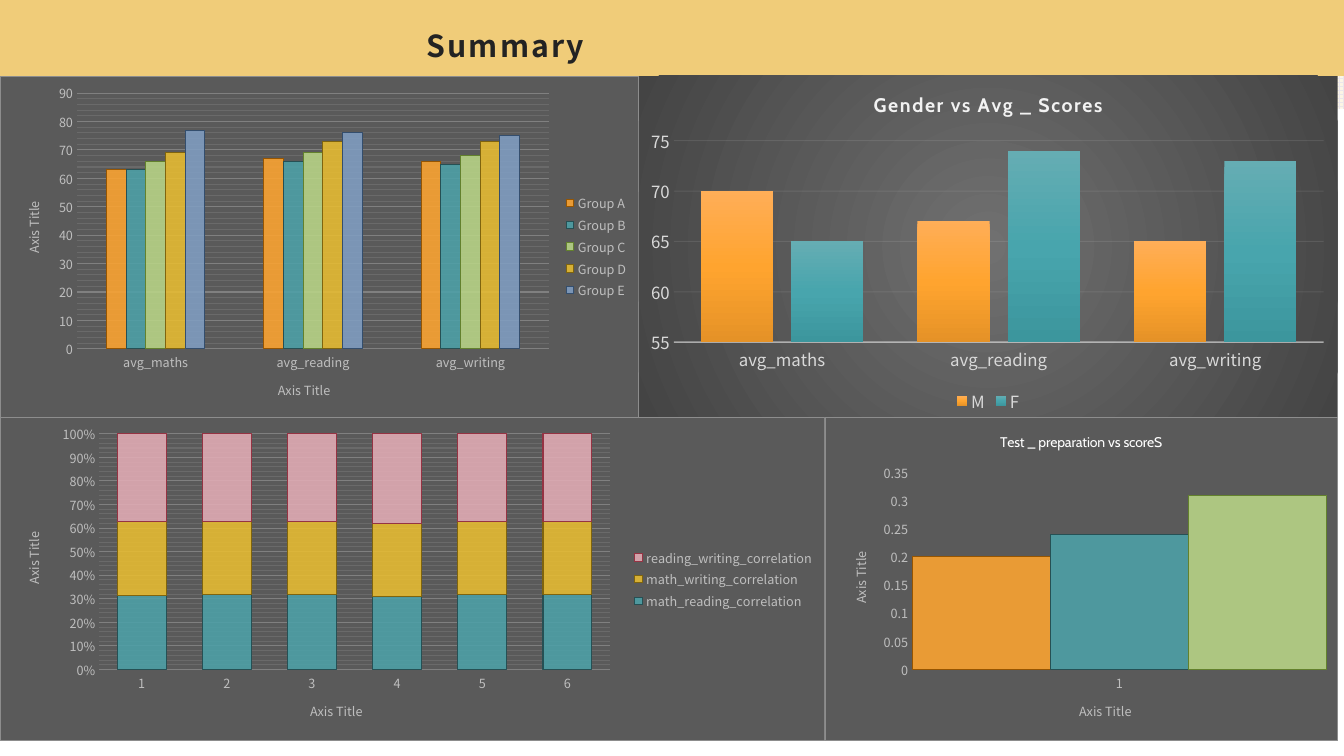
from pptx import Presentation
from pptx.chart.data import CategoryChartData
from pptx.dml.color import RGBColor
from pptx.enum import chart as ch, dml, shapes, text
from pptx.oxml import parse_xml
from pptx.oxml.ns import nsdecls, qn
from pptx.util import Cm, Pt

# Colours, with each solid bar colour paired with its outline
GOLD, INK, WHITE = RGBColor(240, 204, 121), RGBColor(35, 35, 35), RGBColor(255, 255, 255)
GRID_FRONT, GRID_BACK = RGBColor(0xEB, 0xE6, 0xEB), RGBColor(0xFC, 0xF5, 0xE5)
PANEL, BORDER = RGBColor(0x5A, 0x5A, 0x5A), RGBColor(0x8D, 0x8D, 0x8D)
GREY, PALE = RGBColor(0xBF, 0xBF, 0xBF), RGBColor(0xD9, 0xD9, 0xD9)
MAJOR, MINOR = RGBColor(0x80, 0x80, 0x80), RGBColor(0x6A, 0x6A, 0x6A)
LIGHT = RGBColor(0xF2, 0xF2, 0xF2)
ORANGE = (RGBColor(0xFD, 0xA4, 0x31), RGBColor(0x96, 0x55, 0x01))
TEAL = (RGBColor(0x4D, 0xA1, 0xA8), RGBColor(0x26, 0x50, 0x54))
GREEN = (RGBColor(0xB9, 0xD5, 0x87), RGBColor(0x63, 0x81, 0x2D))
YELLOW = (RGBColor(0xE8, 0xBD, 0x32), RGBColor(0x7F, 0x64, 0x0E))
BLUE = (RGBColor(0x80, 0x9E, 0xC2), RGBColor(0x34, 0x4E, 0x6D))
PINK = (RGBColor(0xE3, 0xAD, 0xB6), RGBColor(0x95, 0x33, 0x43))
ORANGE_FADE = [(0, RGBColor(0xFF, 0xAE, 0x57)), (50, RGBColor(0xFF, 0xA4, 0x2F)),
               (100, RGBColor(0xE5, 0x92, 0x27))]
TEAL_FADE = [(0, RGBColor(0x65, 0xAD, 0xB3)), (50, RGBColor(0x48, 0xA5, 0xAD)),
             (100, RGBColor(0x3C, 0x96, 0x9D))]
PANEL_FADE = [(0, RGBColor(0x70, 0x70, 0x70)), (100, RGBColor(0x44, 0x44, 0x44))]
BODY_FONT, TITLE_FONT = "Noto Sans CJK JP", "Cabin"

# Content: "plot" is the plot area as fractions of its chart
HEADING = "Summary"
AXIS_TITLE = "Axis Title"
SUBJECTS = ["avg_maths", "avg_reading", "avg_writing"]
CLUSTERED, STACKED = ch.XL_CHART_TYPE.COLUMN_CLUSTERED, ch.XL_CHART_TYPE.COLUMN_STACKED_100
RIGHT, BOTTOM = ch.XL_LEGEND_POSITION.RIGHT, ch.XL_LEGEND_POSITION.BOTTOM

ETHNIC_GROUPS = dict(
    kind=CLUSTERED, cats=SUBJECTS, gap=300, overlap=0, scale=(0, 90, 10), grid=True,
    legend=RIGHT, plot=(0.12, 0.05, 0.74, 0.75),
    series=[("Group A", [63, 67, 66], ORANGE), ("Group B", [63, 66, 65], TEAL),
            ("Group C", [66, 69, 68], GREEN), ("Group D", [69, 73, 73], YELLOW),
            ("Group E", [77, 76, 75], BLUE)])
GENDERS = dict(
    kind=CLUSTERED, cats=SUBJECTS, gap=75, overlap=-25, scale=(55, 75, 5), grid=True,
    legend=BOTTOM, plot=(0.05, 0.19, 0.93, 0.59), fade=True,
    title=("Gender vs Avg _ Scores", 14, True),
    series=[("M", [70, 67, 65], ORANGE_FADE), ("F", [65, 74, 73], TEAL_FADE)])
CORRELATIONS = dict(
    kind=STACKED, cats=["1", "2", "3", "4", "5", "6"], gap=75, overlap=100,
    scale=(0, 1, 0.1), grid=True, legend=RIGHT, plot=(0.12, 0.05, 0.62, 0.73), format="0%",
    series=[("math_reading_correlation", [31, 32, 32, 31, 32, 32], TEAL),
            ("math_writing_correlation", [31, 31, 31, 31, 31, 31], YELLOW),
            ("reading_writing_correlation", [37, 37, 37, 38, 37, 37], PINK)])
PREPARATION = dict(
    kind=CLUSTERED, cats=["1"], gap=0, overlap=0, scale=(0, 0.35, 0.05), grid=False,
    legend=None, plot=(0.17, 0.17, 0.81, 0.61),
    title=("Test _ preparation vs scoreS", 10, False),
    series=[("Series 1", [0.2], ORANGE), ("Series 2", [0.24], TEAL),
            ("Series 3", [0.31], GREEN)])

# Rows of charts: (height, [(width, chart), ...]) in centimetres
BANNER_H = 1.91
ROWS = [(8.61, [(16.1, ETHNIC_GROUPS), (17.61, GENDERS)]),
        (8.15, [(20.78, CORRELATIONS), (12.93, PREPARATION)])]


def gradient(stops, direction):
    marks = "".join(f'<a:gs pos="{pos * 1000}"><a:srgbClr val="{color}"/></a:gs>'
                    for pos, color in stops)
    return f'<a:gradFill {nsdecls("a")}><a:gsLst>{marks}</a:gsLst>{direction}</a:gradFill>'


def solid_line(color, width):
    return (f'<a:ln w="{Pt(width)}"><a:solidFill><a:srgbClr val="{color}"/>'
            '</a:solidFill></a:ln>')


def chart_look(look):
    return parse_xml(f'<c:spPr {nsdecls("c", "a")}>{look}</c:spPr>')


def set_alpha(solid_parent, percent):
    for color in solid_parent.iter(qn("a:srgbClr")):
        color.append(parse_xml(f'<a:alpha {nsdecls("a")} val="{percent * 1000}"/>'))


def set_font(font, size, color, name=BODY_FONT, bold=False):
    font.size, font.name, font.bold = Pt(size), name, bold
    font.color.rgb = color


def set_line(line, color, width, alpha=100):
    line.color.rgb, line.width = color, Pt(width)
    if alpha < 100:
        set_alpha(line.fill._xPr, alpha)


def style_panel(chart, fade):
    """Background and border of one chart."""
    if fade:
        centre = ('<a:path path="circle"><a:fillToRect l="50000" t="50000" '
                  'r="50000" b="50000"/></a:path>')
        look = gradient(PANEL_FADE, centre) + "<a:ln><a:noFill/></a:ln>"
    else:
        look = (f'<a:solidFill><a:srgbClr val="{PANEL}"/></a:solidFill>'
                + solid_line(BORDER, 0.5))
    chart.element.find(qn("c:chart")).addnext(chart_look(look))


def place_plot(chart, fractions):
    area = chart.element.find(qn("c:chart")).find(qn("c:plotArea"))
    for layout in area.findall(qn("c:layout")):
        area.remove(layout)
    modes = '<c:layoutTarget val="inner"/><c:xMode val="edge"/><c:yMode val="edge"/>'
    sizes = "".join(f'<c:{side} val="{part}"/>' for side, part in zip("xywh", fractions))
    area.insert(0, parse_xml(f'<c:layout {nsdecls("c")}><c:manualLayout>{modes}{sizes}'
                             '</c:manualLayout></c:layout>'))


def style_axes(chart, content, fade, size, color):
    for axis in (chart.category_axis, chart.value_axis):
        set_font(axis.tick_labels.font, size, color)
        axis.major_tick_mark = axis.minor_tick_mark = ch.XL_TICK_MARK.NONE
        axis.format.line.fill.background()
        axis.has_title = not fade
        if not fade:
            frame = axis.axis_title.text_frame
            frame.text = AXIS_TITLE
            set_font(frame.paragraphs[0].runs[0].font, size, color)
    scores = chart.value_axis
    scores.minimum_scale, scores.maximum_scale, scores.major_unit = content["scale"]
    scores.tick_labels.number_format = content.get("format", "General")
    scores.tick_labels.number_format_is_linked = False
    scores.has_major_gridlines = content["grid"]
    if fade:
        set_line(chart.category_axis.format.line, LIGHT, 1, 54)
        set_line(scores.major_gridlines.format.line, LIGHT, 0.75, 10)
    elif content["grid"]:
        set_line(scores.major_gridlines.format.line, MAJOR, 0.75)
        scores.has_minor_gridlines = True
        for minor_grid in chart.element.iter(qn("c:minorGridlines")):
            minor_grid.append(chart_look(solid_line(MINOR, 0.75)))


def add_score_chart(slide, content, left, top, width, height):
    data = CategoryChartData()
    data.categories = content["cats"]
    for name, values, _ in content["series"]:
        data.add_series(name, values)
    chart = slide.shapes.add_chart(content["kind"], Cm(left), Cm(top), Cm(width),
                                   Cm(height), data).chart
    fade = content.get("fade", False)
    size, color = (12, PALE) if fade else (9, GREY)
    set_font(chart.font, 10, INK)
    style_panel(chart, fade)
    place_plot(chart, content["plot"])
    style_axes(chart, content, fade, size, color)

    # Title and legend
    chart.has_title = "title" in content
    if chart.has_title:
        words, title_size, bold = content["title"]
        frame = chart.chart_title.text_frame
        frame.text = words
        title_font = frame.paragraphs[0].runs[0].font
        set_font(title_font, title_size, LIGHT if bold else WHITE, TITLE_FONT, bold)
        if bold:
            title_font._element.set("spc", "100")
    chart.has_legend = content["legend"] is not None
    if chart.has_legend:
        chart.legend.position = content["legend"]
        chart.legend.include_in_layout = False
        set_font(chart.legend.font, size, color)

    # Bars
    bars = chart.plots[0]
    bars.gap_width, bars.overlap, bars.vary_by_categories = content["gap"], content["overlap"], False
    for series, (_, _, paint) in zip(bars.series, content["series"]):
        bar_look = series._element.get_or_add_spPr()
        if fade:
            bar_look.insert(0, parse_xml(gradient(paint, '<a:lin ang="5400000" scaled="0"/>')))
        else:
            series.format.fill.solid()
            series.format.fill.fore_color.rgb = paint[0]
            set_alpha(bar_look, 88)
            set_line(series.format.line, paint[1], 0.75)


# Banner with heading, over a patterned band
prs = Presentation()
prs.slide_width, prs.slide_height = Cm(33.87), Cm(19.05)
slide = prs.slides.add_slide(prs.slide_layouts[5])
heading = slide.shapes.title
heading.left, heading.top, heading.width, heading.height = 0, 0, prs.slide_width, Cm(BANNER_H)
heading.fill.solid()
heading.fill.fore_color.rgb = GOLD
frame = heading.text_frame
frame.text = HEADING
frame.vertical_anchor = text.MSO_ANCHOR.MIDDLE
frame.margin_left, frame.margin_top, frame.margin_bottom = Cm(10.75), Cm(0.76), Cm(0.25)
frame.paragraphs[0].alignment = text.PP_ALIGN.LEFT
frame.paragraphs[0].line_spacing = 0.9
heading_font = frame.paragraphs[0].runs[0].font
set_font(heading_font, 21.6, INK, bold=True)
heading_font._element.set("spc", "150")

band = slide.shapes.add_shape(shapes.MSO_SHAPE.RECTANGLE, 0, 0, prs.slide_width, Cm(2.74))
band.shadow.inherit = False
band.fill.patterned()
band.fill.pattern = dml.MSO_PATTERN.LARGE_GRID
band.fill.fore_color.rgb, band.fill.back_color.rgb = GRID_FRONT, GRID_BACK
band.line.fill.background()
heading.element.addprevious(band.element)

# Charts, row by row
top = BANNER_H
for height, row in ROWS:
    left = 0
    for width, content in row:
        add_score_chart(slide, content, left, top, width, height)
        left += width
    top += height
prs.save("out.pptx")
